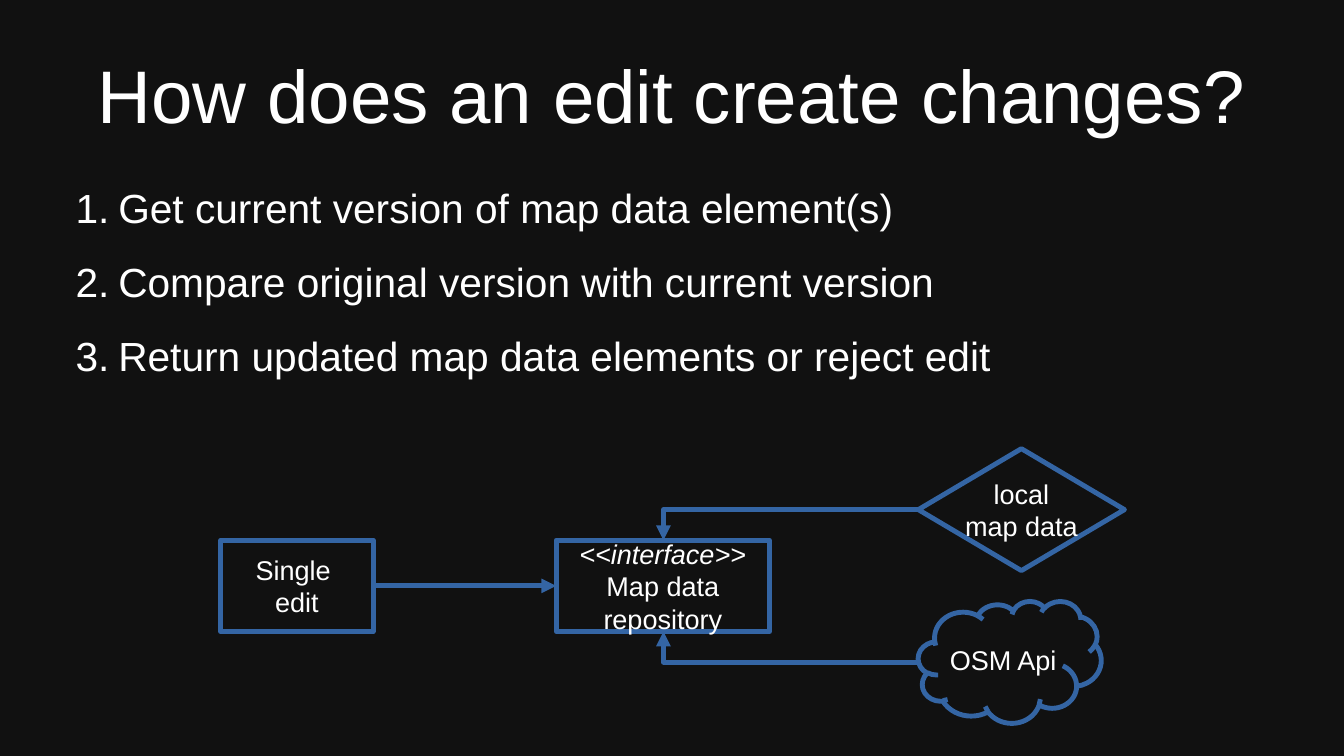
import pptx
import pptx.dml.color
import pptx.enum.shapes
import pptx.enum.text
import pptx.oxml
import pptx.oxml.ns
import pptx.util

Inches = pptx.util.Inches
Pt = pptx.util.Pt
Shape = pptx.enum.shapes.MSO_SHAPE
Link = pptx.enum.shapes.MSO_CONNECTOR
Align = pptx.enum.text.PP_ALIGN
Anchor = pptx.enum.text.MSO_ANCHOR
qn = pptx.oxml.ns.qn

COLORS = {"back": "111111", "text": "FFFFFF", "line": "3465A4"}
STROKE = 2.89
STEPS = [
    "Get current version of map data element(s)",
    "Compare original version with current version",
    "Return updated map data elements or reject edit",
]


def color(name):
    return pptx.dml.color.RGBColor.from_string(COLORS[name])


def child(parent, tag, **attrs):
    node = pptx.oxml.parse_xml(f"<{tag} {pptx.oxml.ns.nsdecls('a')}/>")
    for key, value in attrs.items():
        node.set(key, value)
    parent.append(node)


def write(frame, lines, size, align, numbered=False):
    """Fill a text frame, one paragraph a line."""
    for i, line in enumerate(lines):
        para = frame.paragraphs[0] if i == 0 else frame.add_paragraph()
        para.text = line
        para.alignment = align
        if numbered:
            props = para._p.get_or_add_pPr()
            props.set("marL", str(Inches(0.47)))
            props.set("indent", str(Inches(-0.35)))
            child(props, "a:buAutoNum", type="arabicPeriod")
            if i:
                para.space_before = Pt(15)
        para.font.size = Pt(size)
        para.font.name = "Arial"
        para.font.color.rgb = color("text")


def inset(frame, side, top):
    frame.margin_left = frame.margin_right = Inches(side)
    frame.margin_top = frame.margin_bottom = Inches(top)


def add_text(slide, box, lines, size, align, anchor, numbered=False):
    frame = slide.shapes.add_textbox(*map(Inches, box)).text_frame
    frame.word_wrap = True
    frame.vertical_anchor = anchor
    inset(frame, 0, 0)
    write(frame, lines, size, align, numbered)


def add_node(slide, kind, box, lines):
    """Add an outlined shape with a centred label."""
    node = slide.shapes.add_shape(kind, *map(Inches, box))
    node.shadow.inherit = False
    node.fill.background()
    node.line.color.rgb = color("line")
    node.line.width = Pt(STROKE)
    frame = node.text_frame
    frame.word_wrap = False
    frame.vertical_anchor = Anchor.MIDDLE
    inset(frame, 0.12, 0.07)
    write(frame, lines, 16, Align.CENTER)
    return node


def add_arrow(slide, kind, start, end):
    arrow = slide.shapes.add_connector(kind, *map(Inches, start + end))
    arrow.line.color.rgb = color("line")
    arrow.line.width = Pt(STROKE)
    child(arrow.line._get_or_add_ln(), "a:tailEnd", type="triangle")
    props = arrow._element.spPr
    child(props, "a:effectLst")
    if kind == Link.ELBOW:
        # one bend: across first, then up or down
        props.find(qn("a:prstGeom")).set("prst", "bentConnector2")
    return arrow


def main():
    deck = pptx.Presentation()
    deck.slide_width = Inches(11.02)
    deck.slide_height = Inches(6.2)
    slide = deck.slides.add_slide(deck.slide_layouts[6])
    slide.background.fill.solid()
    slide.background.fill.fore_color.rgb = color("back")

    add_text(slide, (0.55, 0.25, 9.92, 1.04),
             ["How does an edit create changes?"], 44,
             Align.CENTER, Anchor.MIDDLE)
    add_text(slide, (0.5, 1.5, 10, 2), STEPS, 24,
             Align.LEFT, Anchor.TOP, numbered=True)

    add_node(slide, Shape.CLOUD, (7.53, 4.93, 1.5, 1), ["OSM Api"])
    add_node(slide, Shape.DIAMOND, (7.53, 3.68, 1.69, 1),
             ["local", "map data"])
    edit = add_node(slide, Shape.RECTANGLE, (1.81, 4.43, 1.25, 0.75),
                    ["Single ", "edit"])
    store = add_node(slide, Shape.RECTANGLE, (4.56, 4.43, 1.75, 0.75),
                     ["<<interface>>", "Map data", "repository"])
    store.text_frame.paragraphs[0].font.italic = True

    for source, target in ((5.43, 5.18), (4.18, 4.43)):
        add_arrow(slide, Link.ELBOW, (7.53, source), (5.44, target))
    arrow = add_arrow(slide, Link.STRAIGHT, (3.06, 4.81), (4.56, 4.81))
    arrow.begin_connect(edit, 3)
    arrow.end_connect(store, 1)

    deck.save("out.pptx")


if __name__ == "__main__":
    main()
